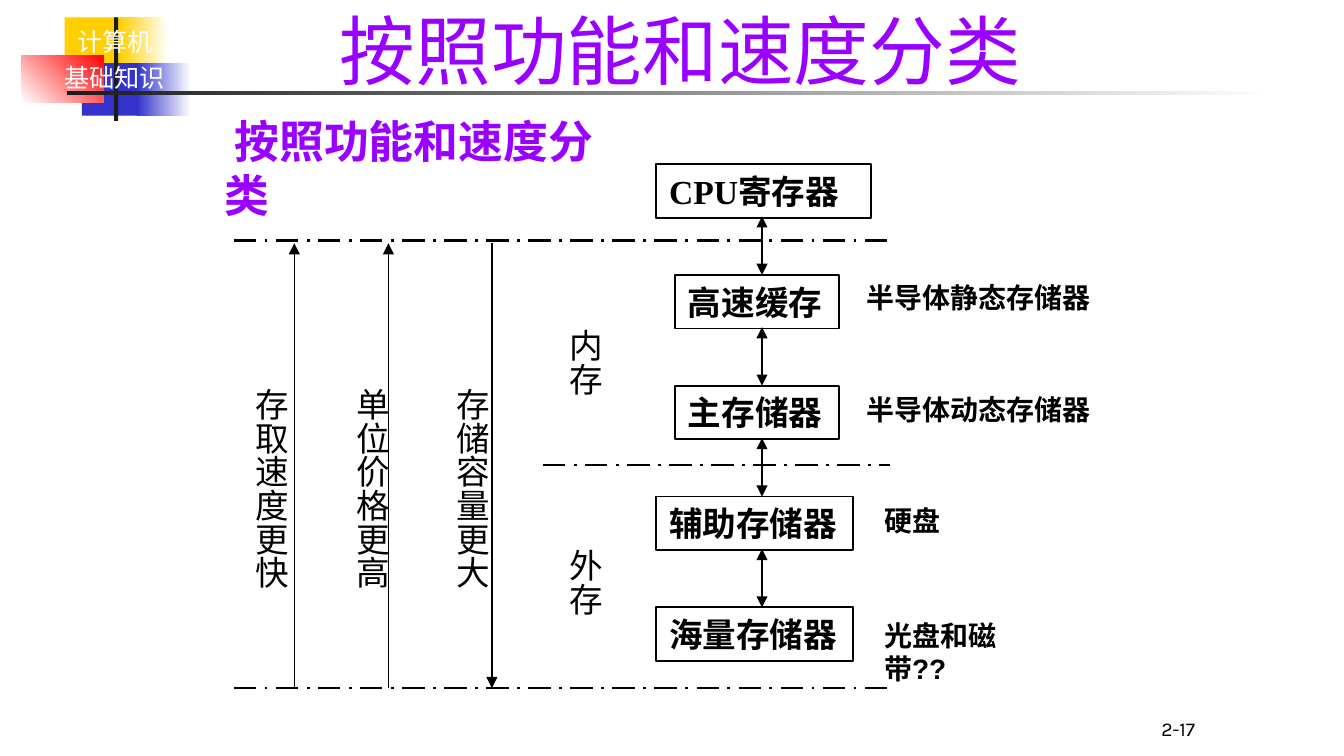
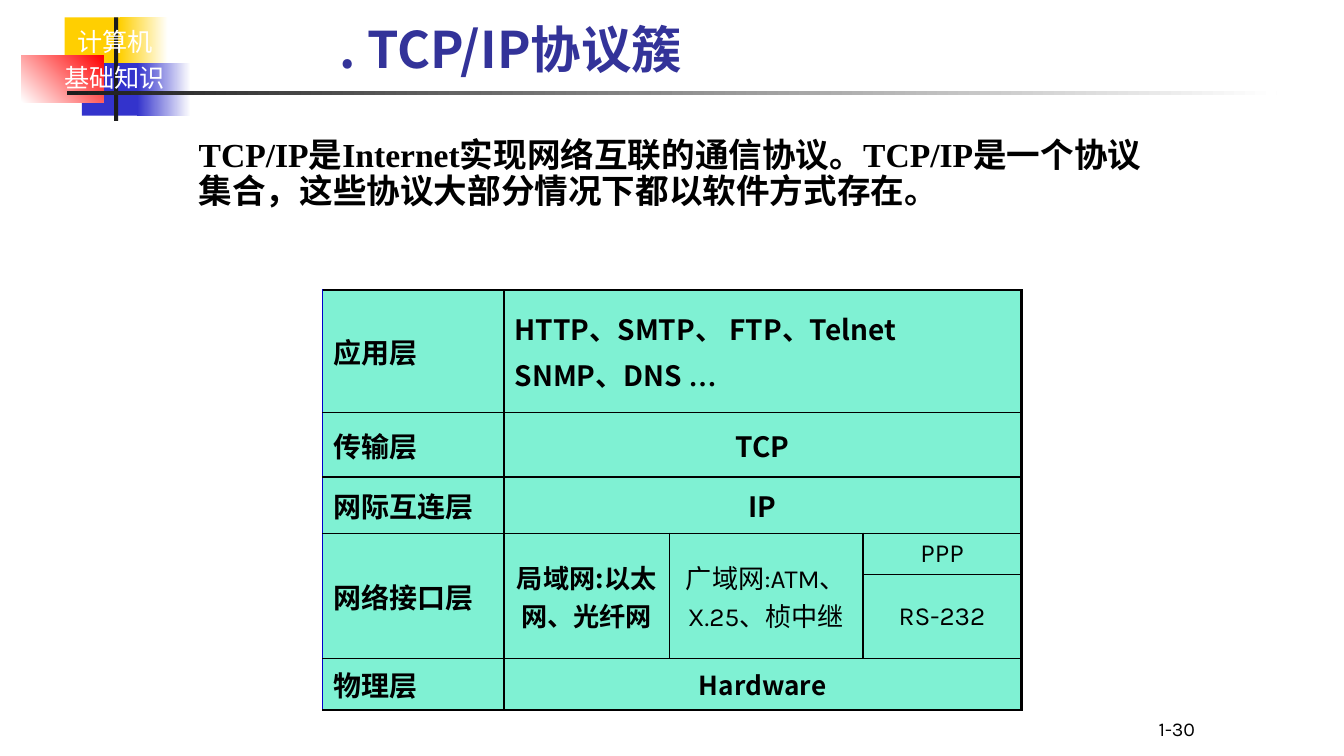
"""Build two lecture slides: the storage hierarchy and the TCP/IP protocol family."""
from dataclasses import dataclass

from lxml.etree import SubElement
from pptx import Presentation
from pptx.dml.color import RGBColor
from pptx.enum.dml import MSO_LINE
from pptx.enum.shapes import MSO_CONNECTOR, MSO_SHAPE
from pptx.enum.text import MSO_ANCHOR, MSO_AUTO_SIZE, PP_ALIGN
from pptx.oxml import parse_xml
from pptx.oxml.ns import nsdecls, qn
from pptx.util import Inches, Pt


@dataclass(frozen=True)
class Theme:
    black: str = "000000"
    white: str = "FFFFFF"
    ink: str = "1C1C1C"
    yellow: str = "FFCF01"
    blue: str = "3333CC"
    red: str = "FF0000"
    purple: str = "9900FF"
    indigo: str = "333399"
    mint: str = "00E4A8"
    edge: str = "0000CC"
    sans: str = "Noto Sans CJK SC"
    serif: str = "Times New Roman"
    plain: str = "Arial"
    label: str = "Karla"
    title: float = 40.5
    subtitle: float = 27
    heading: float = 24
    body: float = 18
    note: float = 15
    cell: float = 14
    badge: float = 13.5
    footer: float = 10.5


theme = Theme()


def write(frame, lines, size, font, east=None, color=theme.black, bold=False,
          align=PP_ALIGN.LEFT, before=0, spacing=None):
    for index, line in enumerate(lines):
        para = frame.paragraphs[0] if index == 0 else frame.add_paragraph()
        para.alignment = align
        para.space_before = Pt(before * size)
        if spacing:
            para.line_spacing = spacing
        for text, face in ([(line, font)] if isinstance(line, str) else line):
            span = para.add_run()
            span.text = text
            span.font.size = Pt(size)
            span.font.bold = bold
            span.font.name = face
            span.font.color.rgb = RGBColor.from_string(color)
            SubElement(span.font._element, qn("a:ea")).set("typeface", east or face)


def add_text(page, at, lines, size, font, wrap=True, anchor=MSO_ANCHOR.TOP, **style):
    box = page.shapes.add_textbox(*map(Inches, at))
    frame = box.text_frame
    frame.word_wrap = wrap
    frame.auto_size = MSO_AUTO_SIZE.NONE if wrap else MSO_AUTO_SIZE.SHAPE_TO_FIT_TEXT
    frame.vertical_anchor = anchor
    write(frame, lines, size, font, **style)
    return frame


deck = Presentation()
deck.slide_width = Inches(10)
deck.slide_height = Inches(10 * 9 / 16)

badge_parts = [
    ((0.48, 0.13, 0.48, 0.39), [theme.yellow], 0),
    ((0.89, 0.13, 0.36, 0.39), [theme.yellow, theme.white], 0),
    ((0.61, 0.47, 0.46, 0.39), [theme.blue], 0),
    ((1.02, 0.47, 0.4, 0.39), [theme.blue, theme.white], 0),
    ((0.16, 0.41, 0.61, 0.35), [theme.white, theme.red], 45),
    ((0.85, 0.13, 0.03, 0.77), [theme.ink], 0),
    ((0.5, 0.68, 9, 0.03), [theme.ink, theme.white], 0),
]
pages = []
for number in ("2-17", "1-30"):
    page = deck.slides.add_slide(deck.slide_layouts[6])
    for at, colors, angle in badge_parts:
        part = page.shapes.add_shape(MSO_SHAPE.RECTANGLE, *map(Inches, at))
        part.shadow.inherit = False
        part.line.fill.background()
        if len(colors) == 1:
            part.fill.solid()
            part.fill.fore_color.rgb = RGBColor.from_string(colors[0])
        else:
            part.fill.gradient()
            part.fill.gradient_angle = angle
            for stop, color, position in zip(part.fill.gradient_stops, colors, (0, 1)):
                stop.color.rgb = RGBColor.from_string(color)
                stop.position = position
    add_text(page, (0.27, 0.15, 1.17, 0.6), ["计算机", "基础知识"], theme.badge,
             theme.label, color=theme.white, align=PP_ALIGN.CENTER, before=0.2)
    add_text(page, (8.25, 5.31, 0.74, 0.25), [number], theme.footer, theme.label,
             anchor=MSO_ANCHOR.BOTTOM, align=PP_ALIGN.RIGHT)
    pages.append(page)
storage, protocols = pages

add_text(storage, (2.43, 0.06, 6.16, 0.62), ["按照功能和速度分类"], theme.title,
         theme.sans, anchor=MSO_ANCHOR.MIDDLE, color=theme.purple)
add_text(storage, (1.57, 0.8, 3.22, 0.47), [" 按照功能和速度分类"], theme.heading,
         theme.sans, color=theme.purple, bold=True, before=0.2)

levels = [
    ("CPU寄存器", 4.88, 1.6, theme.serif),
    ("高速缓存", 5.02, 1.22, theme.plain),
    ("主存储器", 5.02, 1.22, theme.sans),
    ("辅助存储器", 4.88, 1.47, theme.sans),
    ("海量存储器", 4.88, 1.47, theme.plain),
]
level_top, level_step, level_height = 1.22, 0.825, 0.4
lines = []
for index, (name, left, width, font) in enumerate(levels):
    top = level_top + index * level_step
    box = storage.shapes.add_shape(
        MSO_SHAPE.RECTANGLE, *map(Inches, (left, top, width, level_height)))
    box.shadow.inherit = False
    box.fill.background()
    box.line.color.rgb = RGBColor.from_string(theme.black)
    box.line.width = Pt(1)
    box.text_frame.word_wrap = False
    box.text_frame.vertical_anchor = MSO_ANCHOR.MIDDLE
    write(box.text_frame, [name], theme.body, font, east=theme.sans, bold=True)
    if index:
        lines.append(((5.67, top - level_step + level_height - 0.01), (5.67, top),
                      1, None, ("headEnd", "tailEnd")))

for left, y in ((1.74, 1.79), (1.74, 5.12), (4.04, 3.46)):
    lines.append(((left, y), (6.62, y), 1.5, MSO_LINE.LONG_DASH_DOT, ()))
for x, start, end in ((3.66, 1.81, 5.12), (2.89, 5.12, 1.81), (2.19, 5.12, 1.81)):
    lines.append(((x, start), (x, end), 0.75, None, ("tailEnd",)))
for start, end, width, dash, arrowheads in lines:
    line = storage.shapes.add_connector(
        MSO_CONNECTOR.STRAIGHT, *map(Inches, start + end))
    line.line.color.rgb = RGBColor.from_string(theme.black)
    line.line.width = Pt(width)
    if dash:
        line.line.dash_style = dash
    properties = line._element.spPr
    for arrowhead in arrowheads:
        SubElement(properties.find(qn("a:ln")), qn(f"a:{arrowhead}")).set("type", "triangle")
    SubElement(properties, qn("a:effectLst"))

for text, left, top, height in (
    ("存储容量更大", 3.21, 2.79, 1.62),
    ("单位价格更高", 2.47, 2.79, 1.62),
    ("存取速度更快", 1.72, 2.79, 1.62),
    ("内存", 4.05, 2.35, 0.61),
    ("外存", 4.05, 3.99, 0.61),
):
    frame = add_text(storage, (left, top, 0.5, height), [text], theme.body,
                     theme.plain, wrap=False)
    frame._txBody.bodyPr.set("vert", "eaVert")

for text, left, top, width in (
    ("半导体静态存储器", 6.35, 2.04, 1.88),
    ("半导体动态存储器", 6.35, 2.87, 1.88),
    ("硬盘", 6.48, 3.7, 0.62),
):
    add_text(storage, (left, top, width, 0.35), [text], theme.note, theme.plain,
             wrap=False, bold=True)
media_note = add_text(storage, (6.48, 4.55, 1.51, 0.35), ["光盘和磁带??"],
                      theme.note, theme.plain, bold=True)
media_note.margin_right = Inches(0.5)

add_text(protocols, (2.43, 0.06, 6.16, 0.58), [". TCP/IP协议簇"], theme.subtitle,
         theme.sans, anchor=MSO_ANCHOR.BOTTOM, color=theme.indigo, bold=True,
         before=0.2, spacing=0.9)
add_text(protocols, (1.38, 0.98, 7.23, 4.49),
         ["TCP/IP是Internet实现网络互联的通信协议。TCP/IP是一个协议集合，"
          "这些协议大部分情况下都以软件方式存在。 "],
         theme.body, theme.serif, east=theme.plain, bold=True, before=0.2, spacing=0.9)

column_widths = (1.35, 1.23, 1.44, 1.18)
row_heights = (0.91, 0.48, 0.42, 0.3, 0.4, 0.35)
last_row, column_count = len(row_heights) - 1, len(column_widths)
table = protocols.shapes.add_table(
    len(row_heights), column_count, Inches(2.4), Inches(2.16),
    Inches(sum(column_widths)), Inches(sum(row_heights))).table
table.first_row = False
table.horz_banding = False
for column, width in zip(table.columns, column_widths):
    column.width = Inches(width)
for row, height in zip(table.rows, row_heights):
    row.height = Inches(height)
for row in (0, 1, 2, 5):
    table.cell(row, 1).merge(table.cell(row, 3))
for column in range(3):
    table.cell(3, column).merge(table.cell(4, column))

for row in range(len(row_heights)):
    for column in range(column_count):
        cell = table.cell(row, column)
        cell.vertical_anchor = MSO_ANCHOR.MIDDLE
        cell.margin_left = cell.margin_right = Inches(0.08)
        cell.margin_top = cell.margin_bottom = Inches(0.04)
        cell.fill.solid()
        cell.fill.fore_color.rgb = RGBColor.from_string(theme.mint)
        properties = cell._tc.tcPr
        tint = properties.find(qn("a:solidFill")).find(qn("a:srgbClr"))
        SubElement(tint, qn("a:alpha")).set("val", "50000")
        at_right = column + cell.span_width >= column_count
        borders = (
            ("lnL", theme.edge if column == 0 else theme.black, 1),
            ("lnR", theme.black, 1.5 if at_right else 1),
            ("lnT", theme.black, 1.5 if row == 0 else 1),
            ("lnB", theme.black, 1.5 if row == last_row else 1),
        )
        for place, (side, color, width) in enumerate(borders):
            properties.insert(place, parse_xml(
                f'<a:{side} {nsdecls("a")} w="{int(Pt(width))}"><a:solidFill>'
                f'<a:srgbClr val="{color}"/></a:solidFill></a:{side}>'))

for row, name in ((0, "应用层"), (1, "传输层"), (2, "网际互连层"),
                  (3, "网络接口层"), (5, "物理层")):
    write(table.cell(row, 0).text_frame, [name], theme.note, theme.sans,
          bold=True, before=0.2)
write(table.cell(0, 1).text_frame,
      ["HTTP、SMTP、 FTP、Telnet ", [("SNMP、DNS ", theme.sans), ("…", theme.serif)]],
      theme.note, theme.sans, east=theme.sans, bold=True, before=0.2)
for row, column, text, size, font, bold in (
    (1, 1, "TCP", theme.note, theme.sans, True),
    (2, 1, "IP", theme.note, theme.sans, True),
    (3, 1, "局域网:以太网、光纤网", theme.cell, theme.sans, True),
    (3, 2, "广域网:ATM、X.25、桢中继", theme.cell, theme.label, False),
    (3, 3, "PPP", theme.cell, theme.label, False),
    (4, 3, "RS-232", theme.cell, theme.label, False),
    (5, 1, "Hardware", theme.cell, theme.sans, True),
):
    write(table.cell(row, column).text_frame, [text], size, font, east=theme.sans,
          bold=bold, align=PP_ALIGN.CENTER, before=0.2)

deck.save("out.pptx")
